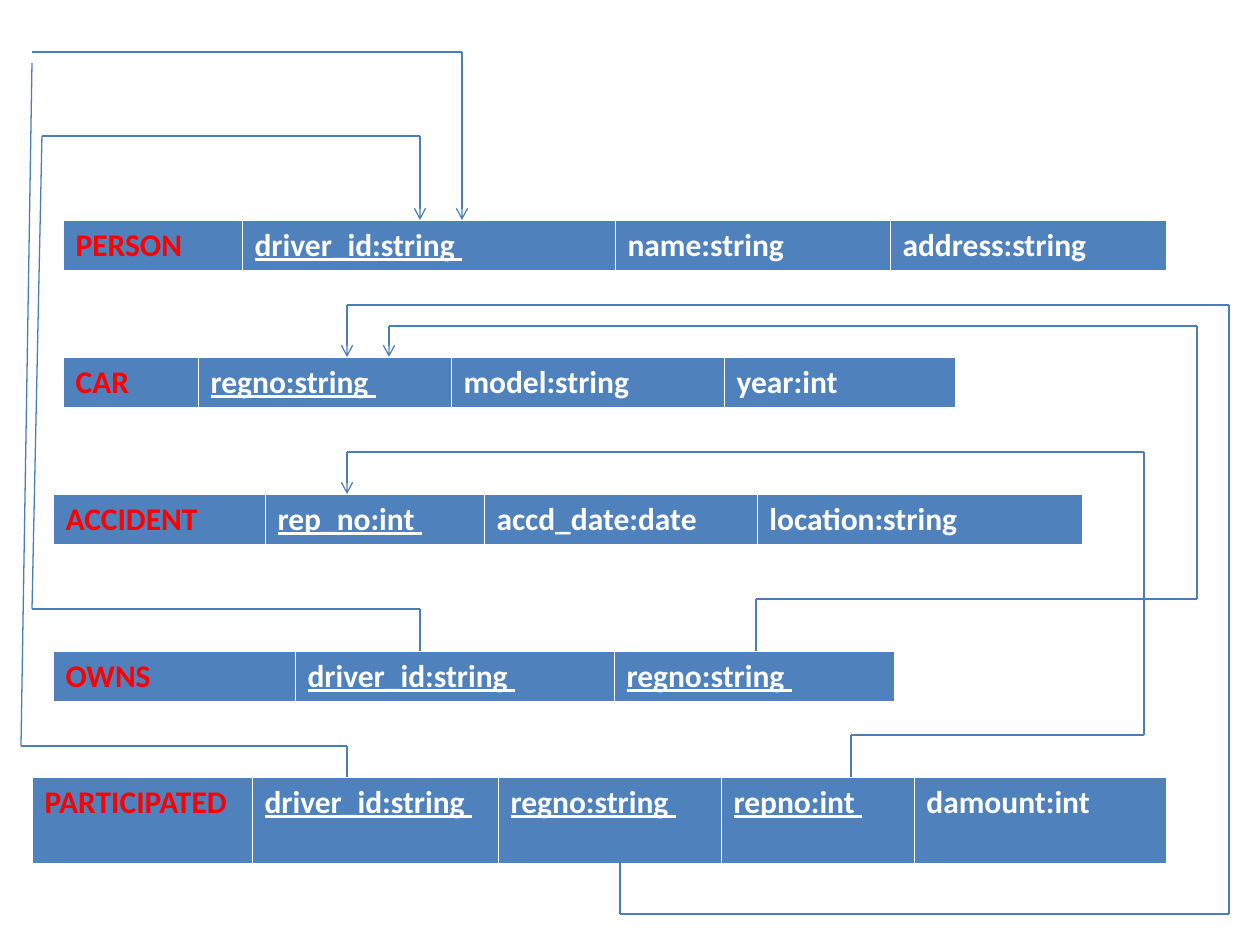
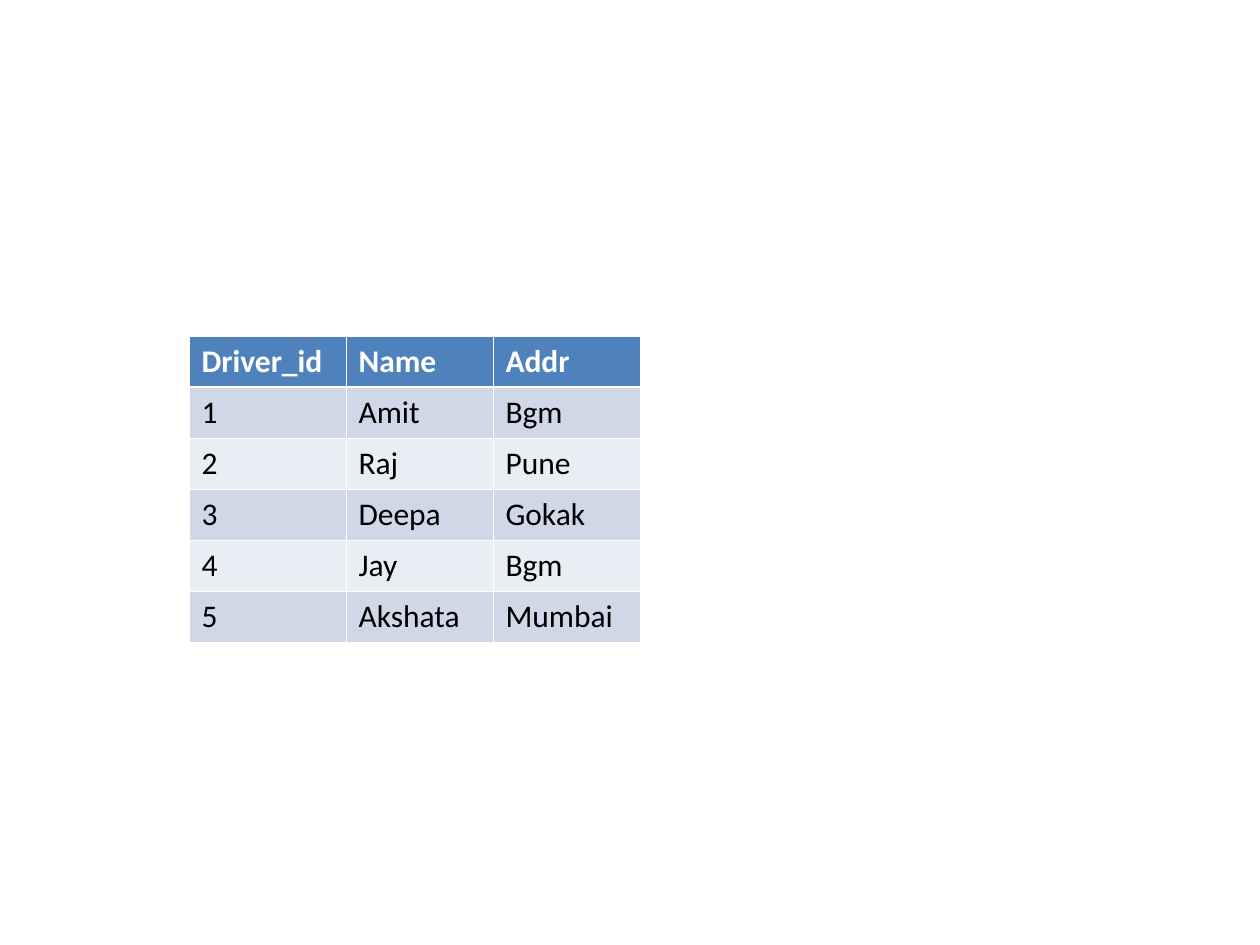
from itertools import pairwise

from lxml import etree
from pptx import Presentation
from pptx.dml.color import RGBColor
from pptx.enum.shapes import MSO_CONNECTOR
from pptx.oxml.ns import qn
from pptx.util import Pt

STRAIGHT = MSO_CONNECTOR.STRAIGHT
EMU_PER_INCH = 914400
PX_PER_INCH = 126

HEADER_BLUE = "4F81BD"
BAND_DARK = "D0D8E8"
BAND_LIGHT = "E9EDF4"
LINK_BLUE = "4A7EBB"
WHITE = "FFFFFF"
THIN, THICK = 5715, 18669
ROW_HEIGHT = 51

BASE_FONT = {"name": "Calibri", "size": Pt(18)}
ENTITY = ("FF0000", {"bold": True, "underline": False})
KEY = (WHITE, {"bold": True, "underline": True})
FIELD = (WHITE, {"bold": True, "underline": False})
BODY = ("000000", {"bold": False, "underline": False})


def px(length):
    return round(length * EMU_PER_INCH / PX_PER_INCH)


def add_grid(slide, left, top, widths, row_height, rows):
    table = slide.shapes.add_table(
        len(rows), len(widths), px(left), px(top), px(sum(widths)), px(row_height * len(rows))
    ).table
    for column, width in zip(table.columns, widths):
        column.width = px(width)
    for r, (fill, cells) in enumerate(rows):
        table.rows[r].height = px(row_height)
        borders = {
            "a:lnL": THIN,
            "a:lnR": THIN,
            "a:lnT": THICK if r == 1 else THIN,
            "a:lnB": THICK if r == 0 else THIN,
        }
        for c, (text, (color, emphasis)) in enumerate(cells):
            cell = table.cell(r, c)
            cell.fill.solid()
            cell.fill.fore_color.rgb = RGBColor.from_string(fill)
            run = cell.text_frame.paragraphs[0].add_run()
            run.text = text
            run.font.color.rgb = RGBColor.from_string(color)
            for attribute, value in (BASE_FONT | emphasis).items():
                setattr(run.font, attribute, value)
            properties = cell._tc.get_or_add_tcPr()
            for position, (side, weight) in enumerate(borders.items()):
                border = etree.Element(qn(side), w=str(weight))
                solid = etree.SubElement(border, qn("a:solidFill"))
                etree.SubElement(solid, qn("a:srgbClr"), val=WHITE)
                properties.insert(position, border)


prs = Presentation()
prs.slide_width = px(1260)
prs.slide_height = px(945)
blank = prs.slide_layouts[6]

schema = prs.slides.add_slide(blank)
relations = [
    (63, 220, ROW_HEIGHT, "PERSON", 179,
     [("driver_id:string ", KEY, 373), ("name:string", FIELD, 275), ("address:string", FIELD, 276)]),
    (63, 357, ROW_HEIGHT, "CAR", 135,
     [("regno:string ", KEY, 253), ("model:string", FIELD, 273), ("year:int", FIELD, 231)]),
    (53, 494, ROW_HEIGHT, "ACCIDENT", 212,
     [("rep_no:int ", KEY, 219), ("accd_date:date", FIELD, 273), ("location:string", FIELD, 325)]),
    (53, 651, ROW_HEIGHT, "OWNS", 242,
     [("driver_id:string ", KEY, 319), ("regno:string ", KEY, 280)]),
    (32, 777, 87, "PARTICIPATED", 220,
     [("driver_id:string ", KEY, 246), ("regno:string ", KEY, 223),
      ("repno:int ", KEY, 193), ("damount:int", FIELD, 252)]),
]
for left, top, height, entity, entity_width, attributes in relations:
    widths = [entity_width] + [width for _, _, width in attributes]
    cells = [(entity, ENTITY)] + [(text, style) for text, style, _ in attributes]
    add_grid(schema, left, top, widths, height, [(HEADER_BLUE, cells)])

foreign_keys = [
    ([(420, 651), (420, 609), (32, 609), (42, 136), (420, 136), (420, 220)], True),
    ([(347, 777), (347, 746), (21, 746), (32, 63)], False),
    ([(32, 52), (462, 52), (462, 220)], True),
    ([(620, 862), (620, 914), (1229, 914), (1229, 305), (347, 305), (347, 357)], True),
    ([(756, 651), (756, 599), (1197, 599), (1197, 326), (389, 326), (389, 357)], True),
    ([(851, 777), (851, 735), (1144, 735), (1144, 452), (347, 452), (347, 494)], True),
]
for route, has_arrow in foreign_keys:
    for start, end in pairwise(route):
        link = schema.shapes.add_connector(STRAIGHT, *map(px, start + end))
        link.line.color.rgb = RGBColor.from_string(LINK_BLUE)
        link.line.width = Pt(0.75)
        if has_arrow and end == route[-1]:
            etree.SubElement(link.line._get_or_add_ln(), qn("a:tailEnd"), type="arrow")
        etree.SubElement(link._element.spPr, qn("a:effectLst"))

drivers = prs.slides.add_slide(blank)
people = [
    ("1", "Amit", "Bgm"),
    ("2", "Raj", "Pune"),
    ("3", "Deepa", "Gokak"),
    ("4", "Jay", "Bgm"),
    ("5", "Akshata", "Mumbai"),
]
driver_rows = [(HEADER_BLUE, [(title, FIELD) for title in ("Driver_id", "Name", "Addr")])]
for index, person in enumerate(people):
    band = BAND_LIGHT if index % 2 else BAND_DARK
    driver_rows.append((band, [(value, BODY) for value in person]))
add_grid(drivers, 189, 336, [157, 147, 147], ROW_HEIGHT, driver_rows)

prs.save("out.pptx")
